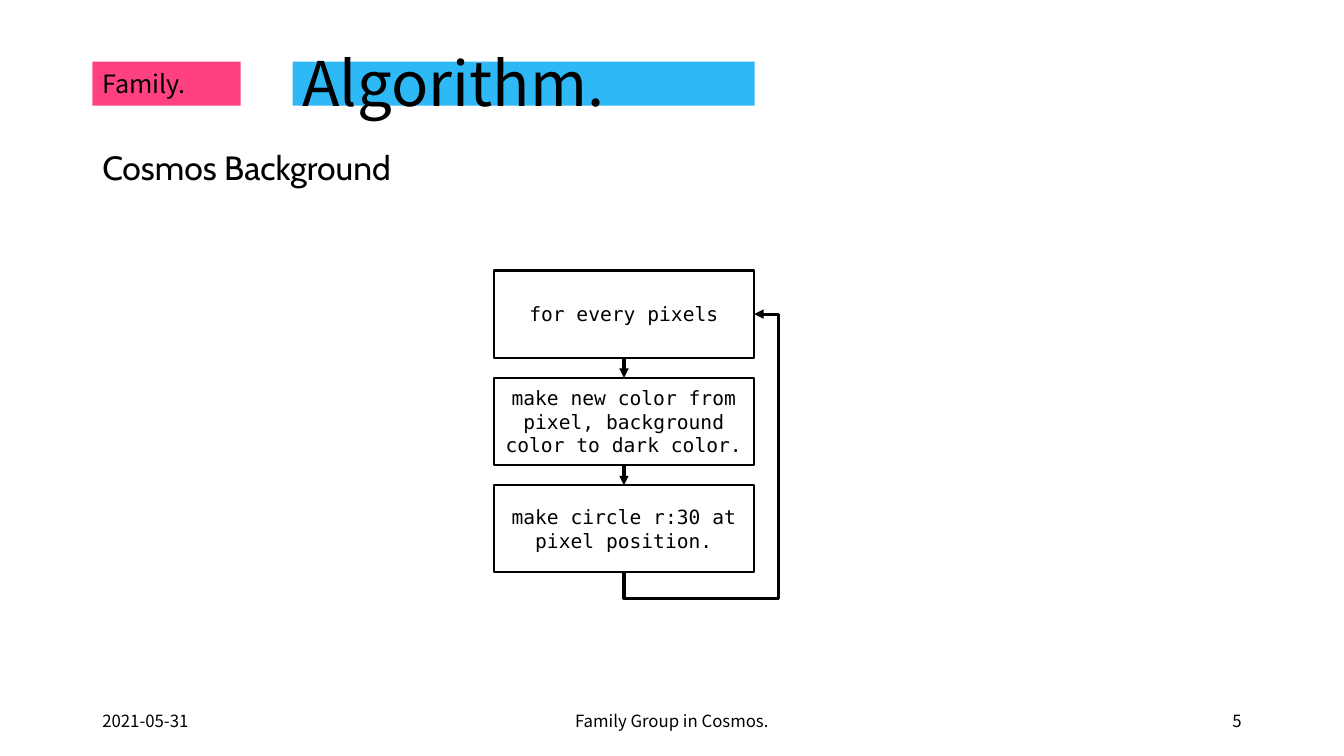
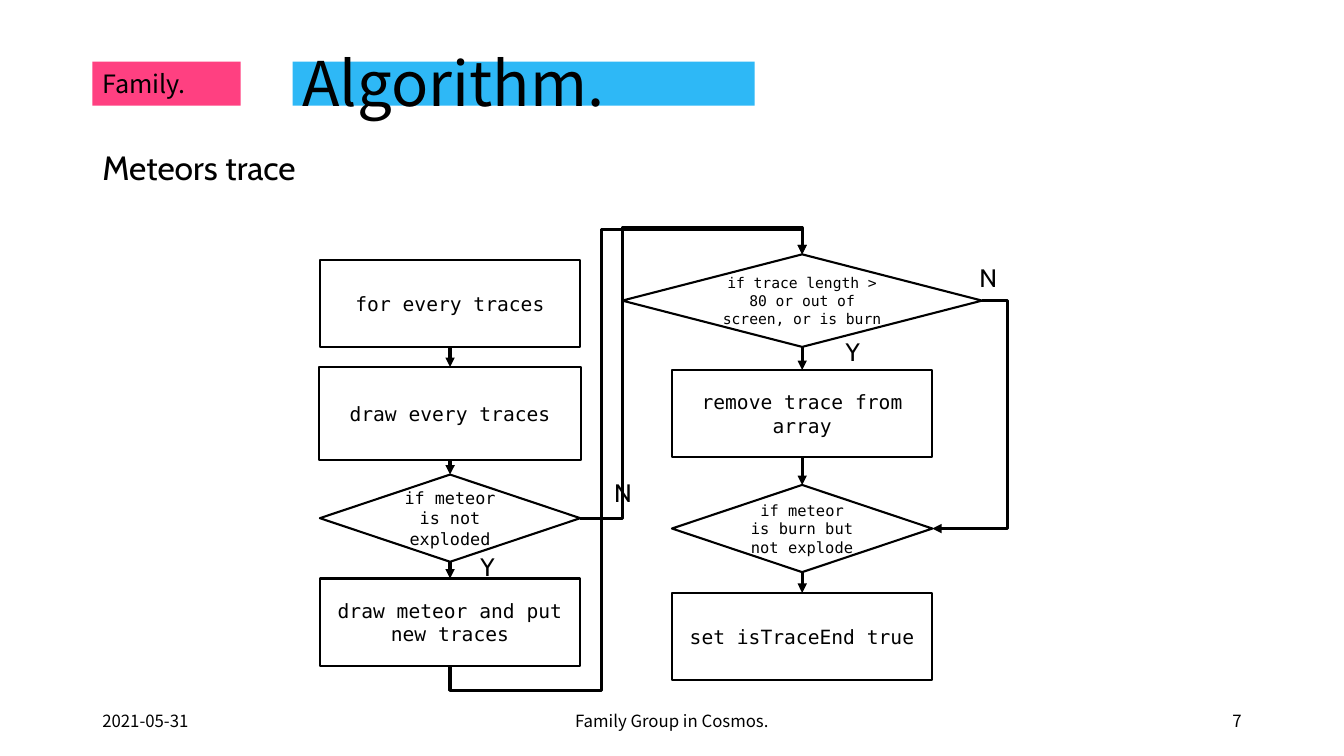
from lxml import etree
from pptx import Presentation
from pptx.dml.color import RGBColor
from pptx.enum.shapes import MSO_CONNECTOR, MSO_SHAPE
from pptx.enum.text import MSO_ANCHOR, PP_ALIGN
from pptx.oxml.ns import qn
from pptx.util import Pt

BLACK = RGBColor(0x00, 0x00, 0x00)
WHITE = RGBColor(0xFF, 0xFF, 0xFF)
PINK = RGBColor(0xFF, 0x40, 0x81)
BLUE = RGBColor(0x2E, 0xB8, 0xF6)

LEFT, CENTER, RIGHT = PP_ALIGN.LEFT, PP_ALIGN.CENTER, PP_ALIGN.RIGHT
TOP, MIDDLE = MSO_ANCHOR.TOP, MSO_ANCHOR.MIDDLE
RECTANGLE = MSO_SHAPE.RECTANGLE
PROCESS = MSO_SHAPE.FLOWCHART_PROCESS
DECISION = MSO_SHAPE.FLOWCHART_DECISION
STRAIGHT, ELBOW = MSO_CONNECTOR.STRAIGHT, MSO_CONNECTOR.ELBOW

SANS = "Noto Sans CJK KR"
HEADING = "Cabin"
MONO = "DejaVu Sans Mono"

SITE_TOP, SITE_BOTTOM, SITE_RIGHT = 0, 2, 3
MARGIN = 66
BAND_LEFT = 209
STEP_WIDTH, STEP_HEIGHT = 186, 62.3


def write(shape, text, font=SANS, size=12, align=LEFT, anchor=MIDDLE,
          wrap=True, spacing=None):
    frame = shape.text_frame
    frame.word_wrap = wrap
    frame.vertical_anchor = anchor
    paragraph = frame.paragraphs[0]
    paragraph.alignment = align
    if spacing:
        paragraph.line_spacing = spacing
    run = paragraph.add_run()
    run.text = text
    run.font.name = font
    run.font.size = Pt(size)
    run.font.color.rgb = BLACK


class Deck:
    def __init__(self):
        self.file = Presentation()
        self.file.slide_width = Pt(960)
        self.file.slide_height = Pt(540)
        self.slide = None

    def start(self, subtitle, subtitle_width, number):
        self.slide = self.file.slides.add_slide(self.file.slide_layouts[6])
        self.block(RECTANGLE, MARGIN, 44, 106, 31.5, PINK)
        self.block(RECTANGLE, BAND_LEFT, 44, 330, 31.5, BLUE)
        self.text("Algorithm.", BAND_LEFT, 29, 685, 66, size=44, spacing=0.9)
        self.text("Family.", MARGIN, 29, 131, 66, size=18, spacing=0.7)
        self.text(subtitle, MARGIN, 101.5, subtitle_width, 36, font=HEADING,
                  size=24, anchor=TOP, wrap=False)
        for footer, left, width, align in (
            ("2021-05-31", MARGIN, 216, LEFT),
            ("Family Group in Cosmos.", 318, 324, CENTER),
            (number, 678, 216, RIGHT),
        ):
            self.text(footer, left, 500.5, width, 28.75, align=align)

    def block(self, preset, left, top, width, height, color):
        shape = self.slide.shapes.add_shape(
            preset, Pt(left), Pt(top), Pt(width), Pt(height))
        shape.shadow.inherit = False
        shape.fill.solid()
        shape.fill.fore_color.rgb = color
        shape.line.fill.background()
        return shape

    def text(self, text, left, top, width, height, **style):
        box = self.slide.shapes.add_textbox(
            Pt(left), Pt(top), Pt(width), Pt(height))
        write(box, text, **style)

    def step(self, text, middle, top, width=STEP_WIDTH, height=STEP_HEIGHT,
             preset=PROCESS, size=14):
        shape = self.block(preset, middle - width / 2, top, width, height, WHITE)
        shape.line.color.rgb = BLACK
        shape.line.width = Pt(1.5)
        write(shape, text, font=MONO, size=size, align=CENTER)
        return shape

    def branch(self, text, left, top):
        self.text(text, left, top, 26, 29, font=HEADING, size=18,
                  anchor=TOP, wrap=False)

    def arrow(self, source, target, leave=SITE_BOTTOM, enter=SITE_TOP, bends=()):
        arrow = self.slide.shapes.add_connector(
            ELBOW if bends else STRAIGHT, 0, 0, 0, 0)
        arrow.begin_connect(source, leave)
        arrow.end_connect(target, enter)
        arrow.line.color.rgb = BLACK
        arrow.line.width = Pt(2.25)
        properties = arrow._element.spPr
        etree.SubElement(properties.find(qn("a:ln")), qn("a:tailEnd"),
                         type="triangle")
        etree.SubElement(properties, qn("a:effectLst"))
        if bends:
            self.bend(arrow, bends, turned=leave == SITE_BOTTOM)

    def bend(self, arrow, bends, turned):
        properties = arrow._element.spPr
        if turned:
            across = arrow.end_x - arrow.begin_x
            down = arrow.end_y - arrow.begin_y
            middle_x = (arrow.begin_x + arrow.end_x) // 2
            middle_y = (arrow.begin_y + arrow.end_y) // 2
            arrow.begin_x = middle_x - down // 2
            arrow.end_x = middle_x + down // 2
            arrow.begin_y = middle_y + across // 2
            arrow.end_y = middle_y - across // 2
            properties.find(qn("a:xfrm")).set("rot", "5400000")
        geometry = properties.find(qn("a:prstGeom"))
        geometry.set("prst", f"bentConnector{len(bends) + 2}")
        guides = geometry.find(qn("a:avLst"))
        if guides is None:
            guides = etree.SubElement(geometry, qn("a:avLst"))
        for index, share in enumerate(bends, 1):
            etree.SubElement(guides, qn("a:gd"), name=f"adj{index}",
                             fmla=f"val {round(share * 100000)}")

    def chain(self, steps):
        for source, target in zip(steps, steps[1:]):
            self.arrow(source, target)


def background_slide(deck):
    deck.start("Cosmos Background", 235.5, "5")
    steps = [
        deck.step(text, 445.7, 193.2 + 76.7 * row)
        for row, text in enumerate((
            "for every pixels",
            "make new color from pixel, background color to dark color.",
            "make circle r:30 at pixel position.",
        ))
    ]
    deck.chain(steps)
    deck.arrow(steps[-1], steps[0], enter=SITE_RIGHT, bends=(-0.1, 1.19))


def trace_slide(deck):
    deck.start("Meteors trace", 163.5, "7")
    drawing, removal = 321.5, 573
    every = deck.step("for every traces", drawing, 185.7)
    draw = deck.step("draw every traces", drawing, 262.2, width=187, height=66.3)
    intact = deck.step("if meteor is not exploded", drawing, 339,
                       preset=DECISION, size=12)
    put = deck.step("draw meteor and put new traces", drawing, 413.2)
    expired = deck.step("if trace length > 80 or out of screen, or is burn",
                        removal, 181.7, width=257, height=66.1,
                        preset=DECISION, size=10.5)
    remove = deck.step("remove trace from array", removal, 264.3)
    burnt = deck.step("if meteor is burn but not explode", removal, 346.4,
                      preset=DECISION, size=11)
    finish = deck.step("set isTraceEnd true", removal, 423.5)

    deck.chain([every, draw, intact, put])
    deck.chain([expired, remove, burnt, finish])
    deck.arrow(put, expired, bends=(-0.06, 0.43, 1.06))
    deck.arrow(intact, expired, leave=SITE_RIGHT, bends=(0.19, 1.1))
    deck.arrow(expired, burnt, leave=SITE_RIGHT, enter=SITE_RIGHT, bends=(-0.51,))
    for answer, left, top in (
        ("Y", 597, 237), ("N", 692.5, 183.5),
        ("Y", 336, 390.5), ("N", 431.5, 337.5),
    ):
        deck.branch(answer, left, top)


def main():
    deck = Deck()
    background_slide(deck)
    trace_slide(deck)
    deck.file.save("out.pptx")


if __name__ == "__main__":
    main()
